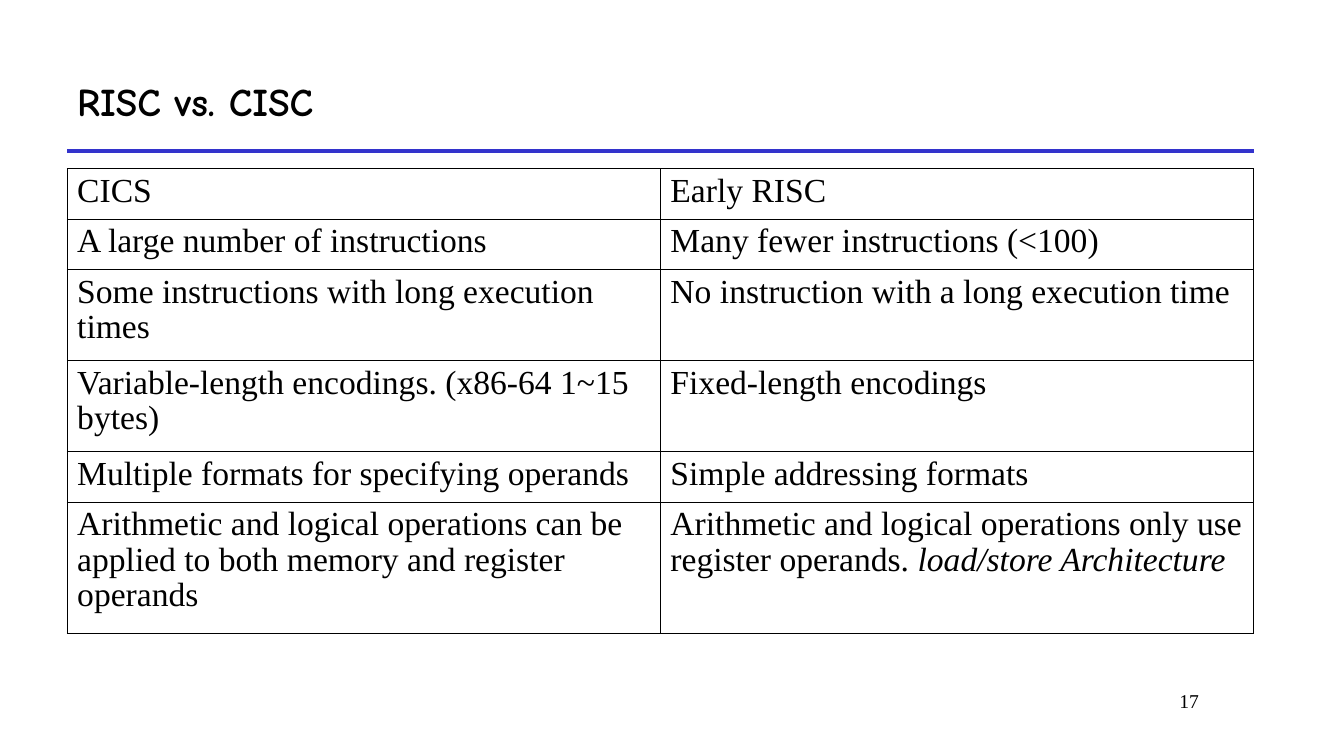
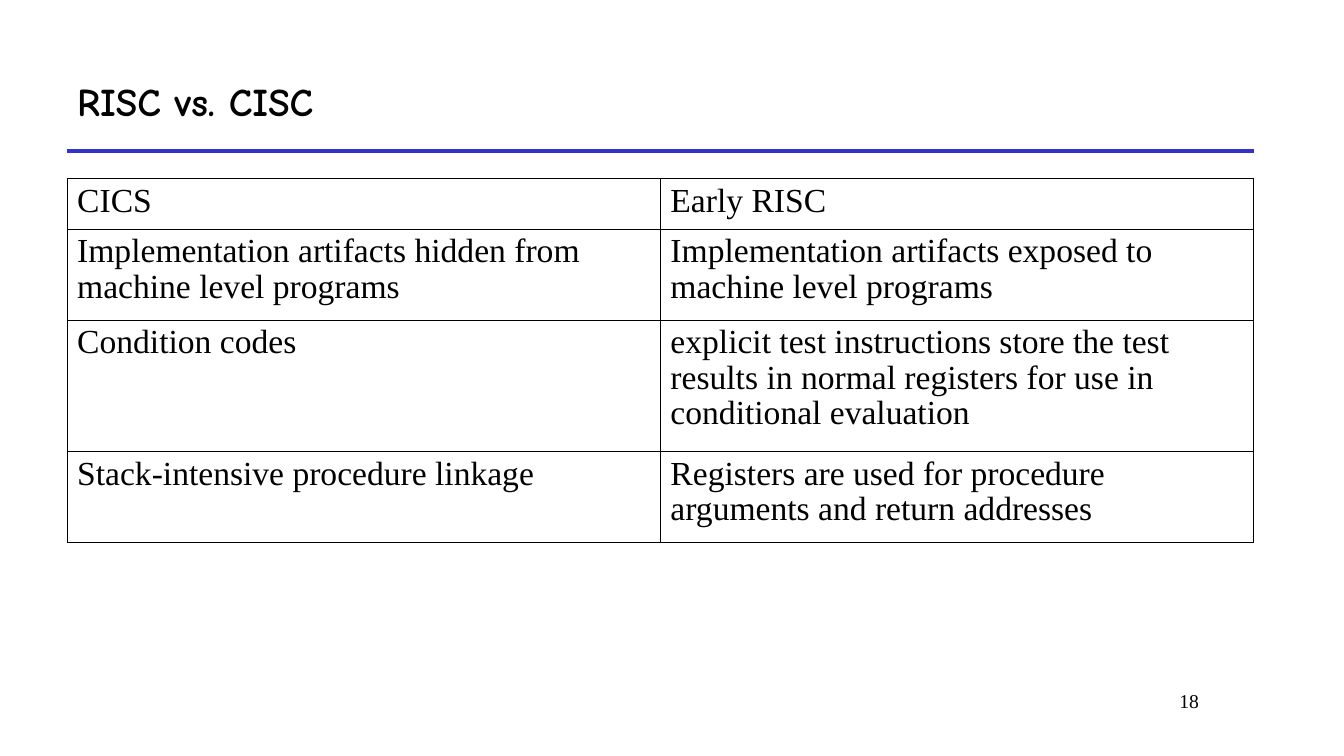
"""Build two slides that compare RISC and CISC in tables."""
from pptx import Presentation
from pptx import util as u
from pptx.dml.color import RGBColor
from pptx.enum import shapes, text
from pptx.oxml import parse_xml
from pptx.oxml.ns import nsdecls

Pt = u.Pt
BLACK, WHITE, BLUE = "000000", "FFFFFF", "3333CC"
HEADING = {"name": "Comic Neue", "size": Pt(28), "bold": True}
BODY = {"name": "Times New Roman", "size": Pt(24), "bold": False}
NUMBER = {"name": "Times New Roman", "size": Pt(14)}
LEFT, WIDTH = 48, 848
ROW_BASE, ROW_LINE = 7, 29

HEADER = (1, "CICS", "Early RISC")
INSTRUCTION_ROWS = [
    HEADER,
    (1, "A large number of instructions", "Many fewer instructions (<100)"),
    (2, "Some instructions with long execution times",
     "No instruction with a long execution time"),
    (2, "Variable-length encodings. (x86-64 1~15 bytes)",
     "Fixed-length encodings"),
    (1, "Multiple formats for specifying operands",
     "Simple addressing formats"),
    (3, "Arithmetic and logical operations can be applied to both memory "
        "and register operands",
     "Arithmetic and logical operations only use register operands. "
     "|load/store Architecture"),
]
PROCEDURE_ROWS = [
    HEADER,
    (2, "Implementation artifacts hidden from machine level programs",
     "Implementation artifacts exposed to machine level programs"),
    (3, "Condition codes",
     "explicit test instructions store the test results in normal registers "
     "for use in conditional evaluation"),
    (2, "Stack-intensive procedure linkage",
     "Registers are used for procedure arguments and return addresses"),
]


def color(value):
    return RGBColor.from_string(value)


def apply(target, values):
    for name, value in values.items():
        setattr(target, name, value)


class Deck:
    """Hold the shared style and the current slide."""

    def __init__(self):
        self.prs = Presentation()
        apply(self.prs, {"slide_width": Pt(960.5), "slide_height": Pt(540)})
        self.slide = None

    def add_text(self, paragraph, content, style):
        for i, part in enumerate(content.split("|")):
            run = paragraph.add_run()
            run.text = part
            apply(run.font, style)
            run.font.color.rgb = color(BLACK)
            if i % 2:
                run.font.italic = True

    def page(self, title, number):
        self.slide = self.prs.slides.add_slide(self.prs.slide_layouts[5])
        self.rule()
        self.title(title)
        self.number(number)

    def rule(self):
        rule = self.slide.shapes.add_connector(
            shapes.MSO_CONNECTOR.STRAIGHT,
            Pt(LEFT), Pt(108), Pt(LEFT + WIDTH), Pt(108))
        rule.line.color.rgb = color(BLUE)
        rule.line.width = Pt(3)
        rule._element.spPr.append(
            parse_xml(f"<a:effectLst {nsdecls('a')}/>"))

    def title(self, content):
        title = self.slide.shapes.title
        apply(title, {"left": Pt(LEFT), "top": Pt(36),
                      "width": Pt(WIDTH), "height": Pt(72)})
        apply(title.text_frame, {
            "vertical_anchor": text.MSO_ANCHOR.MIDDLE, "word_wrap": True,
            "auto_size": text.MSO_AUTO_SIZE.NONE})
        paragraph = title.text_frame.paragraphs[0]
        paragraph.alignment = text.PP_ALIGN.LEFT
        self.add_text(paragraph, content, HEADING)

    def number(self, value):
        box = self.slide.shapes.add_textbox(Pt(728), Pt(486), Pt(136), Pt(36))
        apply(box.text_frame, {"word_wrap": True, "margin_top": Pt(6)})
        paragraph = box.text_frame.paragraphs[0]
        paragraph.alignment = text.PP_ALIGN.RIGHT
        self.add_text(paragraph, str(value), NUMBER)

    def table(self, top, rows):
        heights = [ROW_BASE + ROW_LINE * lines for lines, *_ in rows]
        table = self.slide.shapes.add_table(
            len(rows), 2, Pt(LEFT), Pt(top), Pt(WIDTH), Pt(sum(heights))).table
        apply(table, {"first_row": False, "horz_banding": False})
        for r, (_, *contents) in enumerate(rows):
            table.rows[r].height = Pt(heights[r])
            for c, content in enumerate(contents):
                self.cell(table.cell(r, c), content)

    def cell(self, cell, content):
        cell.fill.solid()
        cell.fill.fore_color.rgb = color(WHITE)
        properties = cell._tc.get_or_add_tcPr()
        for i, side in enumerate("LRTB"):
            properties.insert(i, parse_xml(
                f'<a:ln{side} {nsdecls("a")} w="{Pt(0.45)}"><a:solidFill>'
                f'<a:srgbClr val="{BLACK}"/></a:solidFill></a:ln{side}>'))
        paragraph = cell.text_frame.paragraphs[0]
        paragraph.line_spacing = 0.96
        self.add_text(paragraph, content, BODY)


def main():
    deck = Deck()
    pages = [(17, 120.5, INSTRUCTION_ROWS), (18, 127.5, PROCEDURE_ROWS)]
    for number, top, rows in pages:
        deck.page("RISC vs. CISC", number)
        deck.table(top, rows)
    deck.prs.save("out.pptx")


if __name__ == "__main__":
    main()
